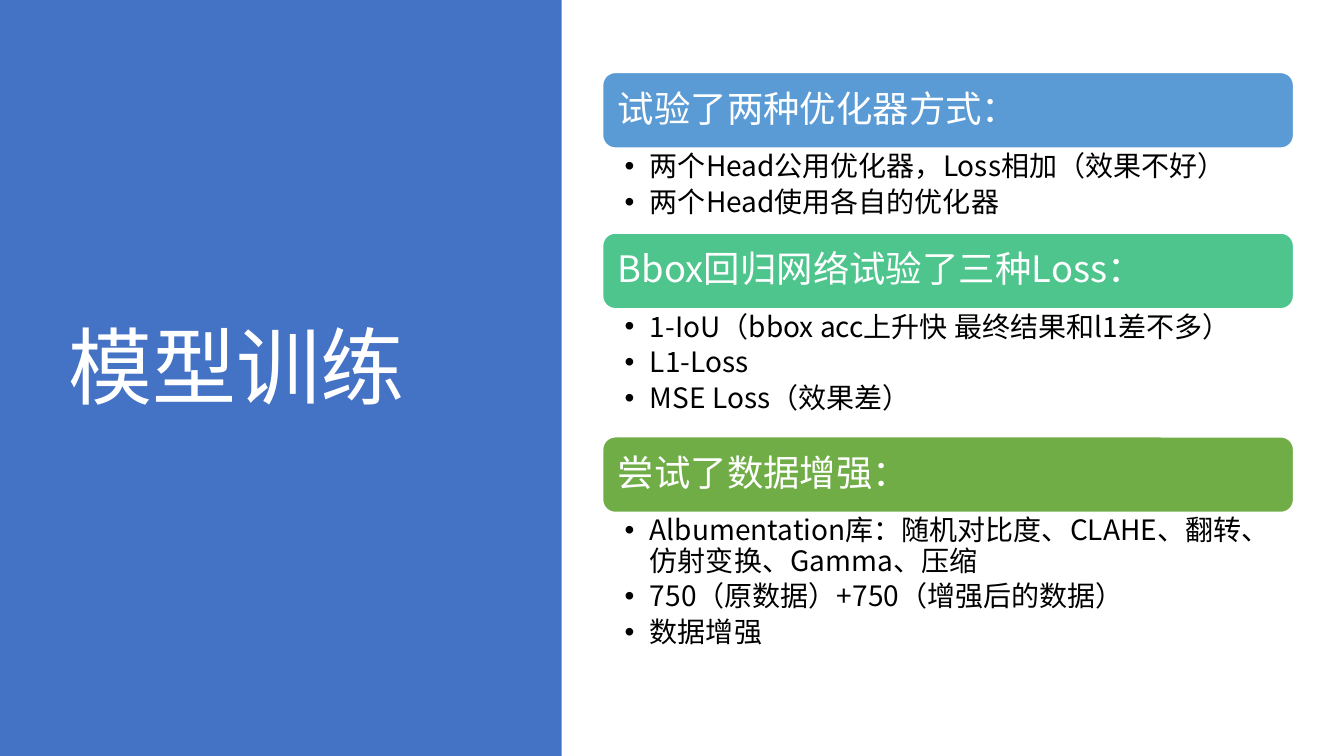
from lxml import etree
from pptx import Presentation
from pptx.dml.color import RGBColor
from pptx.enum import shapes, text
from pptx.oxml.ns import qn
from pptx.util import Pt

PX = 9525
FONT = "Noto Sans CJK SC"
COLORS = {
    "panel": "4472C4",
    "blue": "5B9BD5",
    "teal": "4DC58D",
    "green": "70AD47",
    "white": "FFFFFF",
    "black": "000000",
}
SECTIONS_LEFT, SECTIONS_TOP, SECTIONS_WIDTH = 574, 69, 658
HEADING_HEIGHT = 72
BULLET_INDENT = 24
# Heading, bar colour, height of the bullet list, bullets
SECTIONS = [
    ("试验了两种优化器方式：", "blue", 81, [
        "两个Head公用优化器，Loss相加（效果不好）",
        "两个Head使用各自的优化器",
    ]),
    ("Bbox回归网络试验了三种Loss：", "teal", 122, [
        "1-IoU（bbox acc上升快 最终结果和l1差不多）",
        "L1-Loss",
        "MSE Loss（效果差）",
    ]),
    ("尝试了数据增强：", "green", 153, [
        "Albumentation库：随机对比度、CLAHE、翻转、仿射变换、Gamma、压缩",
        "750（原数据）+750（增强后的数据）",
        "数据增强",
    ]),
]


def color(name):
    return RGBColor.from_string(COLORS[name])


def px(*lengths):
    return [length * PX for length in lengths]


def set_all(target, values):
    for name, value in values.items():
        setattr(target, name, value)


def format_frame(frame, anchor, insets):
    """Set anchor and the left, top, right and bottom insets."""
    left, top, right, bottom = px(*insets)
    set_all(frame, {
        "word_wrap": True, "auto_size": text.MSO_AUTO_SIZE.NONE,
        "vertical_anchor": anchor, "margin_left": left, "margin_top": top,
        "margin_right": right, "margin_bottom": bottom,
    })


def write(para, words, size, color_name, space_after=0):
    set_all(para, {
        "alignment": text.PP_ALIGN.LEFT, "line_spacing": 0.9,
        "space_before": Pt(0), "space_after": Pt(space_after),
    })
    span = para.add_run()
    span.text = words
    set_all(span.font, {"name": FONT, "size": Pt(size)})
    span.font.color.rgb = color(color_name)
    east_asian = etree.SubElement(span.font._element, qn("a:ea"))
    east_asian.set("typeface", FONT)


def add_bullet(para):
    properties = para._p.get_or_add_pPr()
    properties.set("marL", str(BULLET_INDENT * PX))
    properties.set("indent", str(-BULLET_INDENT * PX))
    etree.SubElement(properties, qn("a:buFont")).set("typeface", "Arial")
    etree.SubElement(properties, qn("a:buChar")).set("char", "•")


def add_block(page, kind, place, fill):
    block = page.shapes.add_shape(kind, *px(*place))
    block.shadow.inherit = False
    block.fill.solid()
    block.fill.fore_color.rgb = color(fill)
    block.line.fill.background()
    return block


def add_title_panel(page):
    panel = add_block(page, shapes.MSO_SHAPE.RECTANGLE, (0, 0, 535, 720), "panel")
    title = page.shapes.title
    title.element.addprevious(panel.element)
    left, top, width, height = px(55, 65, 399, 578)
    set_all(title, {"left": left, "top": top, "width": width, "height": height})
    format_frame(title.text_frame, text.MSO_ANCHOR.MIDDLE, (10, 5, 10, 5))
    write(title.text_frame.paragraphs[0], "模型训练", 60, "white")


def add_heading(page, top, words, fill):
    place = (SECTIONS_LEFT, top, SECTIONS_WIDTH, HEADING_HEIGHT)
    bar = add_block(page, shapes.MSO_SHAPE.ROUNDED_RECTANGLE, place, fill)
    bar.line.color.rgb = color("white")
    bar.line.width = Pt(1)
    format_frame(bar.text_frame, text.MSO_ANCHOR.MIDDLE, (11, 11, 11, 11))
    write(bar.text_frame.paragraphs[0], words, 26, "white", 9)


def add_bullets(page, top, height, lines):
    box = page.shapes.add_textbox(*px(SECTIONS_LEFT, top, SECTIONS_WIDTH, height))
    frame = box.text_frame
    format_frame(frame, text.MSO_ANCHOR.TOP, (21, 4, 19, 4))
    for index, line in enumerate(lines):
        para = frame.add_paragraph() if index else frame.paragraphs[0]
        write(para, line, 20, "black", 4)
        add_bullet(para)


def main():
    deck = Presentation()
    deck.slide_width, deck.slide_height = px(1280, 720)
    page = deck.slides.add_slide(deck.slide_layouts.get_by_name("Title Only"))
    add_title_panel(page)
    top = SECTIONS_TOP
    for heading, fill, height, lines in SECTIONS:
        add_heading(page, top, heading, fill)
        add_bullets(page, top + HEADING_HEIGHT, height, lines)
        top += HEADING_HEIGHT + height
    deck.save("out.pptx")


if __name__ == "__main__":
    main()
